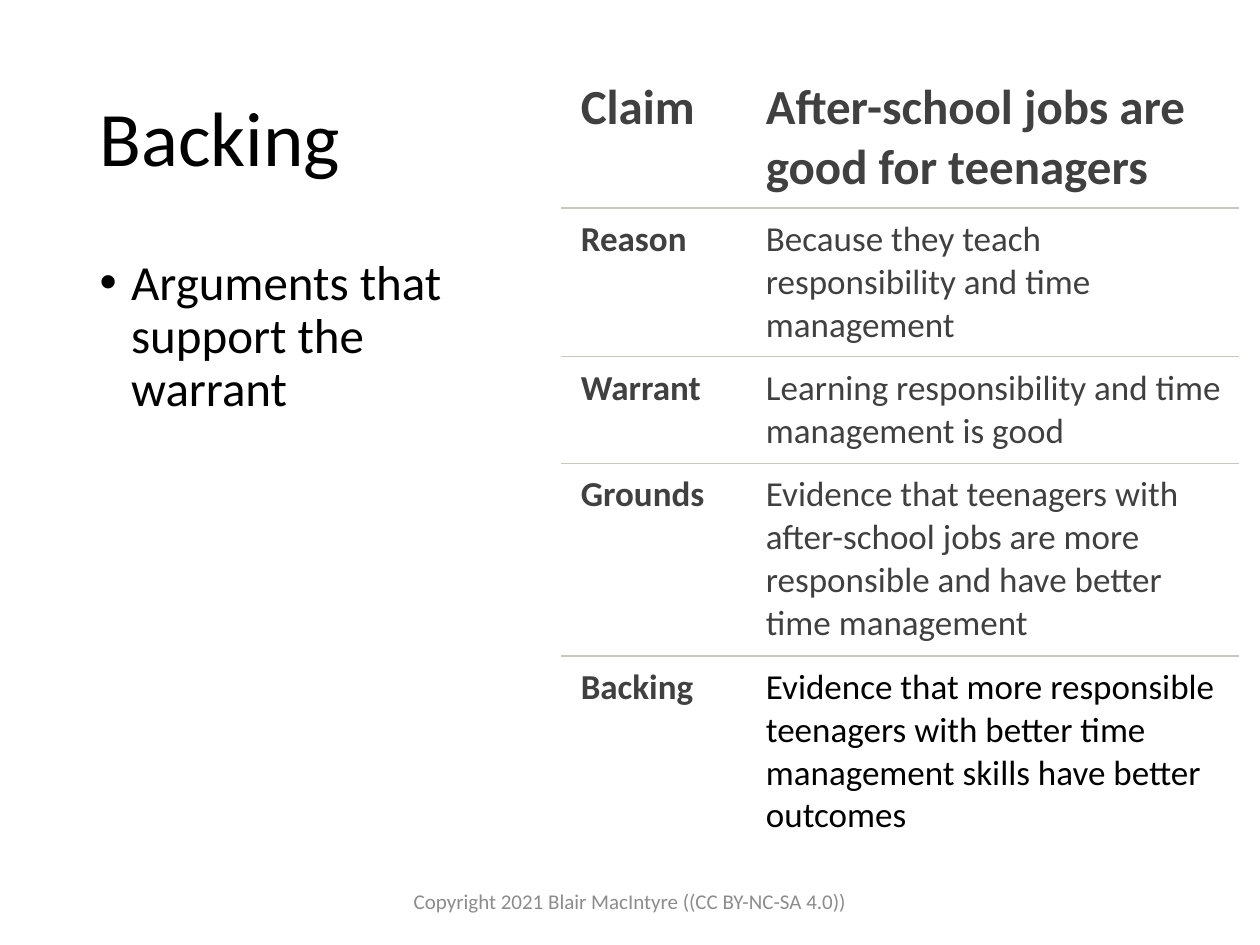
from dataclasses import dataclass

from lxml.etree import SubElement
from pptx import Presentation
from pptx.dml.color import RGBColor
from pptx.enum.text import MSO_ANCHOR, MSO_AUTO_SIZE, PP_ALIGN
from pptx.oxml.ns import qn
from pptx.util import Pt

COLORS = {"text": "000000", "table": "404040", "rule": "C7C6C1", "footer": "8C8C8C"}
FONT = "Calibri"
NO_STYLE = "{2D5ABB26-0587-4C30-8999-92F81FD0307C}"
COL_WIDTHS = (105.8, 281.6)
CELL_FORMAT = {"margin_left": Pt(11.5), "margin_top": Pt(5.75),
               "margin_right": Pt(8.6), "margin_bottom": Pt(5.75)}


@dataclass
class Box:
    left: float
    top: float
    width: float
    height: float

    def lengths(self) -> list:
        return [Pt(v) for v in (self.left, self.top, self.width, self.height)]


@dataclass
class ArgumentRow:
    label: str
    statement: str
    height: float
    size: float = 20
    bold: bool = False
    color: str = "table"


ROWS = [
    ArgumentRow("Claim", "After-school jobs are good for teenagers", 80, 28, True),
    ArgumentRow("Reason", "Because they teach responsibility and time management", 85),
    ArgumentRow("Warrant", "Learning responsibility and time management is good", 61),
    ArgumentRow("Grounds", "Evidence that teenagers with after-school jobs are more "
                "responsible and have better time management", 110),
    ArgumentRow("Backing", "Evidence that more responsible teenagers with better time "
                "management skills have better outcomes", 110, color="text"),
]


def write(tf, text: str, size: float, color: str, bold: bool = False):
    p = tf.paragraphs[0]
    r = p.add_run()
    r.text = text
    for name, value in {"name": FONT, "size": Pt(size), "bold": bold}.items():
        setattr(r.font, name, value)
    r.font.color.rgb = RGBColor.from_string(COLORS[color])
    return p


def fill_placeholder(sp, box: Box, text: str, size: float, anchor):
    sp.left, sp.top, sp.width, sp.height = box.lengths()
    tf = sp.text_frame
    tf.auto_size = MSO_AUTO_SIZE.NONE
    tf.vertical_anchor = anchor
    p = write(tf, text, size, "text")
    formats = {"alignment": PP_ALIGN.LEFT, "line_spacing": 0.9, "space_before": Pt(0)}
    for name, value in formats.items():
        setattr(p, name, value)
    return p


def rule_below(cell) -> None:
    ln = SubElement(cell._tc.get_or_add_tcPr(), qn("a:lnB"), w=str(Pt(0.75)))
    fill = SubElement(ln, qn("a:solidFill"))
    SubElement(fill, qn("a:srgbClr"), val=COLORS["rule"])


def add_argument_table(s, left: float, top: float, rows: list[ArgumentRow]) -> None:
    box = Box(left, top, sum(COL_WIDTHS), sum(row.height for row in rows))
    table = s.shapes.add_table(len(rows), len(COL_WIDTHS), *box.lengths()).table
    table.first_row = table.horz_banding = False
    table._tbl.tblPr.find(qn("a:tableStyleId")).text = NO_STYLE
    for column, width in zip(table.columns, COL_WIDTHS):
        column.width = Pt(width)
    for i, row in enumerate(rows):
        table.rows[i].height = Pt(row.height)
        contents = [(row.label, True, "table"), (row.statement, row.bold, row.color)]
        for j, (text, bold, color) in enumerate(contents):
            cell = table.cell(i, j)
            for name, value in CELL_FORMAT.items():
                setattr(cell, name, value)
            if i < len(rows) - 1:
                rule_below(cell)
            cell.fill.background()
            write(cell.text_frame, text, row.size, color, bold)


def add_footer(s, box: Box, text: str) -> None:
    tf = s.shapes.add_textbox(*box.lengths()).text_frame
    tf.word_wrap = True
    tf.vertical_anchor = MSO_ANCHOR.MIDDLE
    write(tf, text, 12, "footer").alignment = PP_ALIGN.CENTER


def main() -> None:
    prs = Presentation()
    prs.slide_width, prs.slide_height = Pt(720), Pt(540)
    s = prs.slides.add_slide(prs.slide_layouts[1])

    fill_placeholder(s.shapes.title, Box(49.7, 28.8, 620.6, 104.4),
                     "Backing", 44, MSO_ANCHOR.MIDDLE)
    p = fill_placeholder(s.placeholders[1], Box(49.7, 144, 259.2, 342.7),
                         "Arguments that support the warrant", 28, MSO_ANCHOR.TOP)
    pPr = p._p.get_or_add_pPr()
    pPr.set("marL", str(Pt(18)))
    pPr.set("indent", str(Pt(-18)))

    add_argument_table(s, 320.4, 38.9, ROWS)
    add_footer(s, Box(221.8, 500.4, 276.5, 28.8),
               "Copyright 2021 Blair MacIntyre ((CC BY-NC-SA 4.0))")
    prs.save("out.pptx")


if __name__ == "__main__":
    main()
